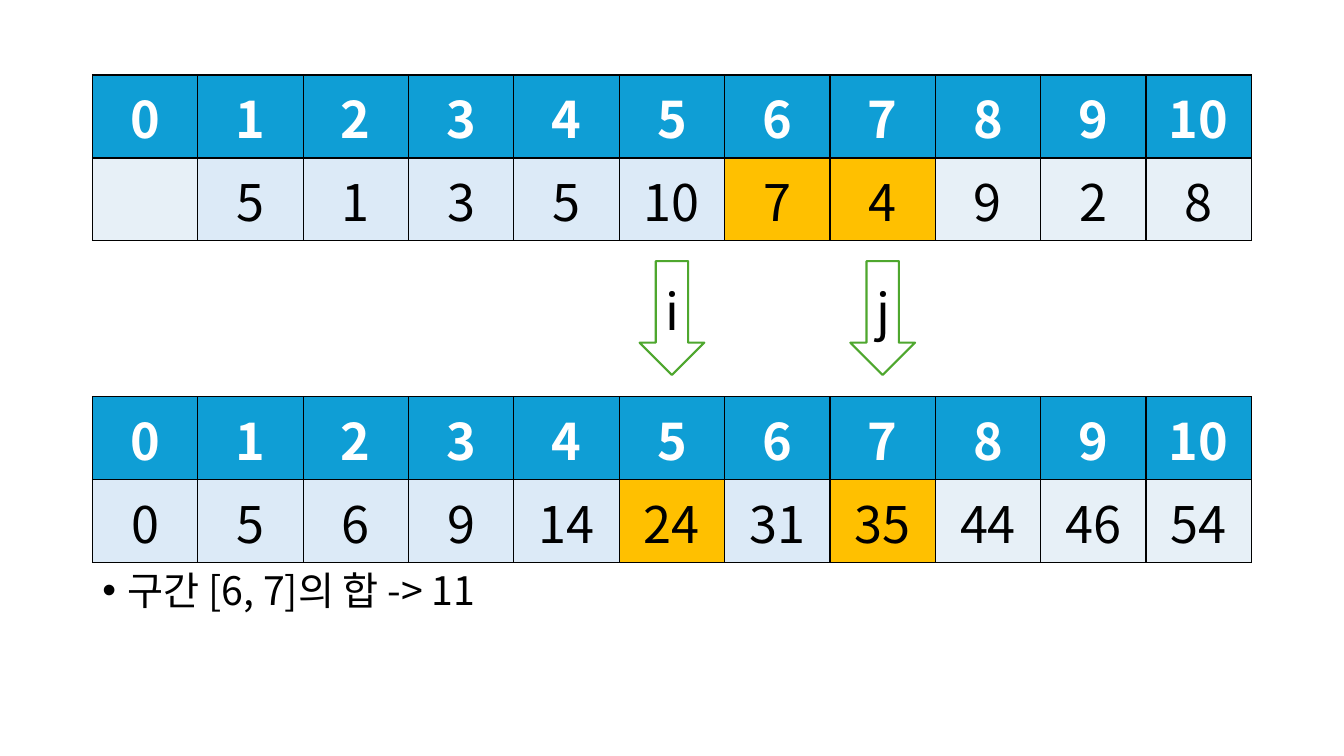
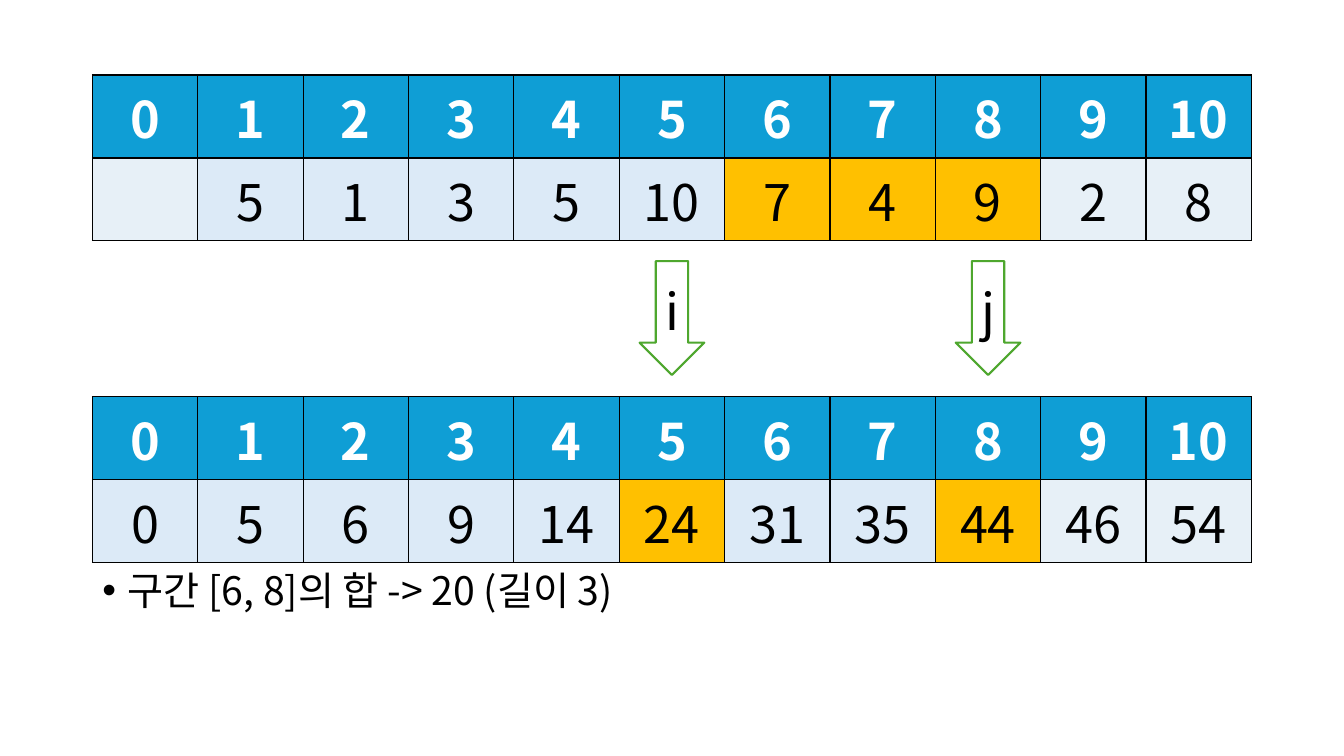
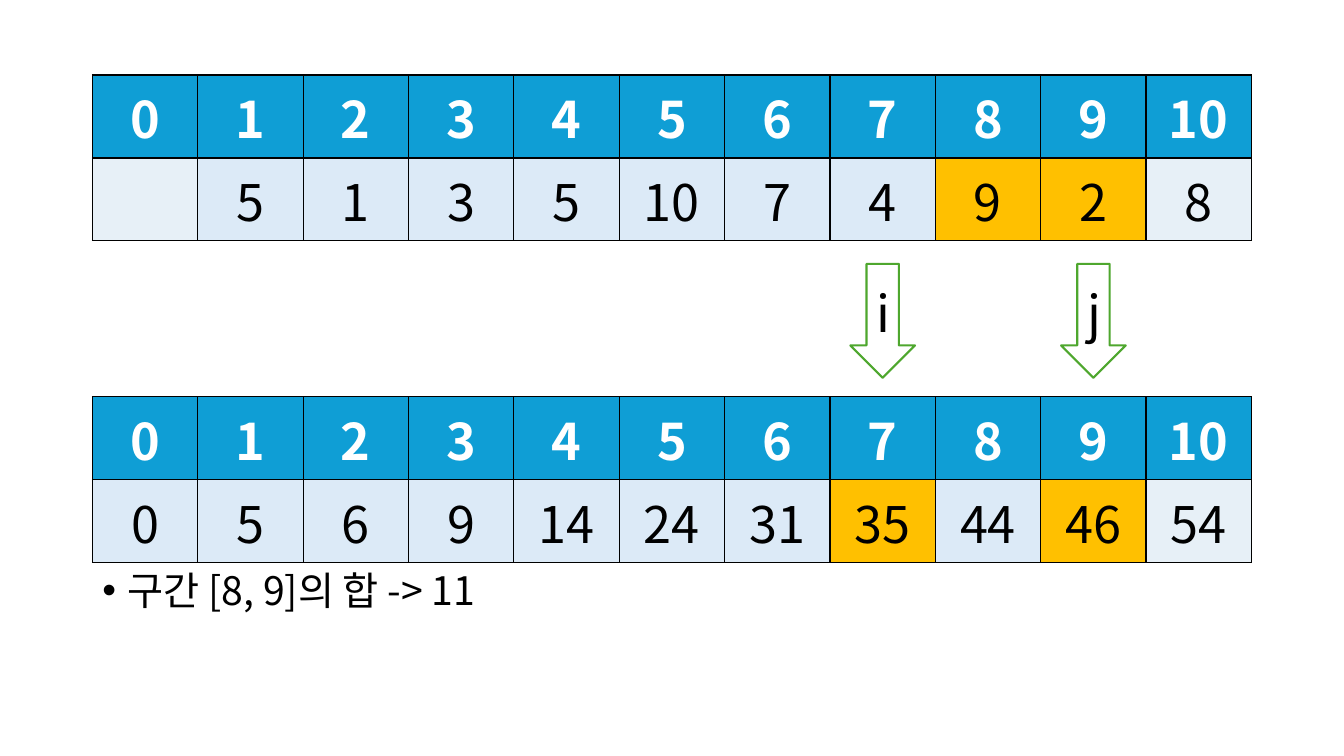
from itertools import accumulate

from lxml.etree import SubElement
from pptx import Presentation
from pptx.dml.color import RGBColor
from pptx.enum.shapes import MSO_SHAPE as Shape
from pptx.enum.text import MSO_ANCHOR as Anchor, PP_ALIGN as Align
from pptx.oxml.ns import qn
from pptx.util import Cm, Pt

# Colours
BLACK = RGBColor(0x00, 0x00, 0x00)
WHITE = RGBColor(0xFF, 0xFF, 0xFF)
HEADER_BLUE = RGBColor(0x0F, 0x9E, 0xD5)
VISITED_BLUE = RGBColor(0xDC, 0xEA, 0xF7)
PENDING_GREY = RGBColor(0xE7, 0xF0, 0xF7)
MARK_YELLOW = RGBColor(0xFF, 0xC0, 0x00)
ARROW_GREEN = RGBColor(0x4E, 0xA7, 0x2E)

# Type styles
FONT = "Noto Sans CJK KR"
INDEX_STYLE = {"name": FONT, "size": Pt(36), "bold": True, "color": WHITE}
VALUE_STYLE = {**INDEX_STYLE, "bold": False, "color": BLACK}
NOTE_STYLE = {**VALUE_STYLE, "size": Pt(28)}
CENTRED = {"alignment": Align.CENTER}
BULLETED = {"line_spacing": 0.9, "space_before": Pt(10)}

# Layout
LEFT, WIDTH = Cm(2.33), Cm(29.21)
ROW_HEIGHT = Cm(2.09)
VALUES_TOP, SUMS_TOP, NOTE_TOP = Cm(1.89), Cm(10), Cm(14.27)
NOTE_HEIGHT = Cm(2.9)
ARROW_WIDTH, ARROW_HEIGHT = Cm(1.63), Cm(2.87)

# Content
VALUES = [5, 1, 3, 5, 10, 7, 4, 9, 2, 8]
SUMS = list(accumulate(VALUES, initial=0))
COLUMN_WIDTH = WIDTH / len(SUMS)

# Pointer i, pointer j, arrow top, remark
STEPS = [
    (5, 7, Cm(6.58), ""),
    (5, 8, Cm(6.58), " (길이 3)"),
    (7, 9, Cm(6.65), ""),
]


def set_all(target, formats):
    for name, value in formats.items():
        setattr(target, name, value)


def write(frame, text, style, layout):
    paragraph = frame.paragraphs[0]
    set_all(paragraph, layout)
    run = paragraph.add_run()
    run.text = str(text)
    set_all(run.font, {k: v for k, v in style.items() if k != "color"})
    run.font.color.rgb = style["color"]
    # East Asian typeface for the Hangul
    SubElement(run.font._element, qn("a:ea"), typeface=FONT)
    return paragraph


def paint(part, colour):
    part.fill.solid()
    part.fill.fore_color.rgb = colour


def add_borders(cell):
    properties = cell._tc.get_or_add_tcPr()
    for side in ("lnL", "lnR", "lnT", "lnB"):
        line = SubElement(properties, qn(f"a:{side}"), w=str(Pt(1)))
        fill = SubElement(line, qn("a:solidFill"))
        SubElement(fill, qn("a:srgbClr"), val=str(BLACK))


def add_array(slide, top, numbers, marked, visited):
    """Table with an index row above a row of numbers."""
    frame = slide.shapes.add_table(2, len(numbers), LEFT, top, WIDTH, 2 * ROW_HEIGHT)
    table = frame.table
    set_all(table, {"first_row": True, "horz_banding": False})
    for index, number in enumerate(numbers):
        if index in marked:
            colour = MARK_YELLOW
        else:
            colour = VISITED_BLUE if index in visited else PENDING_GREY
        column = ((index, INDEX_STYLE, HEADER_BLUE), (number, VALUE_STYLE, colour))
        for row, (text, style, background) in enumerate(column):
            cell = table.cell(row, index)
            add_borders(cell)
            paint(cell, background)
            cell.vertical_anchor = Anchor.MIDDLE
            if text != "":
                write(cell.text_frame, text, style, CENTRED)


def add_pointer(slide, label, index, top):
    """Arrow centred on the column of the given index."""
    left = round(LEFT + (index + 0.5) * COLUMN_WIDTH - ARROW_WIDTH / 2)
    arrow = slide.shapes.add_shape(Shape.DOWN_ARROW, left, top, ARROW_WIDTH, ARROW_HEIGHT)
    arrow.shadow.inherit = False
    paint(arrow, WHITE)
    arrow.line.color.rgb = ARROW_GREEN
    arrow.line.width = Pt(1.5)
    arrow.text_frame.vertical_anchor = Anchor.MIDDLE
    write(arrow.text_frame, label, VALUE_STYLE, CENTRED)


def add_note(slide, text):
    note = slide.shapes.add_textbox(LEFT, NOTE_TOP, WIDTH, NOTE_HEIGHT)
    note.text_frame.word_wrap = True
    paragraph = write(note.text_frame, text, NOTE_STYLE, BULLETED)
    properties = paragraph._p.get_or_add_pPr()
    indent = Cm(0.64)
    properties.set("marL", str(indent))
    properties.set("indent", str(-indent))
    SubElement(properties, qn("a:buFont"), typeface="Arial")
    SubElement(properties, qn("a:buChar"), char="•")


def add_step(deck, i, j, arrow_top, remark):
    """Slide showing the range sum between the pointers i and j."""
    slide = deck.slides.add_slide(deck.slide_layouts[6])
    add_note(slide, f"구간 [{i + 1}, {j}]의 합 -> {SUMS[j] - SUMS[i]}{remark}")
    add_array(slide, SUMS_TOP, SUMS, (i, j), range(j + 1))
    for label, index in (("i", i), ("j", j)):
        add_pointer(slide, label, index, arrow_top)
    add_array(slide, VALUES_TOP, ["", *VALUES], range(i + 1, j + 1), range(1, j + 1))


def main():
    deck = Presentation()
    set_all(deck, {"slide_width": Cm(33.87), "slide_height": Cm(19.05)})
    for step in STEPS:
        add_step(deck, *step)
    deck.save("out.pptx")


if __name__ == "__main__":
    main()
